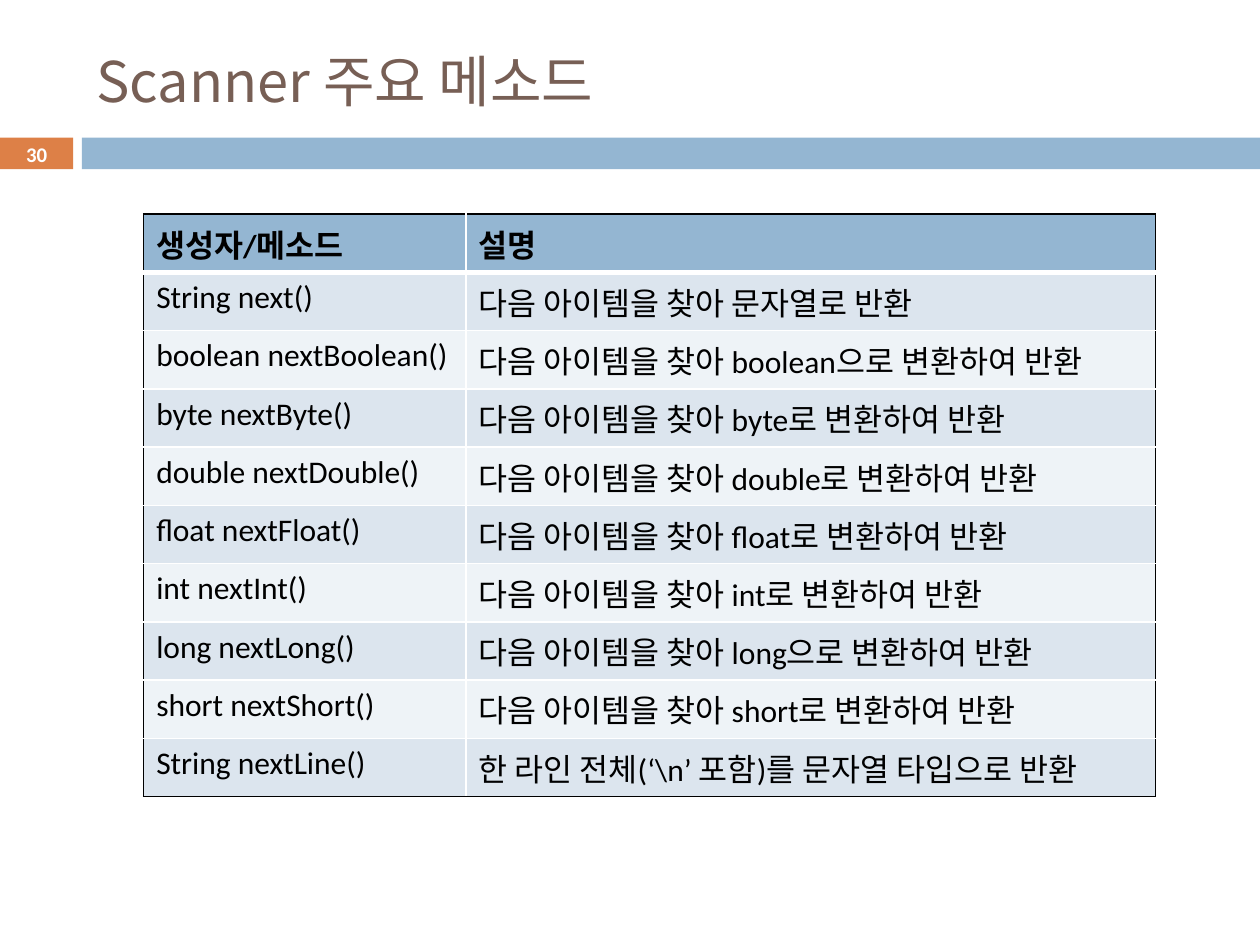
from dataclasses import dataclass

from lxml import etree
from pptx import Presentation
from pptx.dml.color import RGBColor
from pptx.enum.shapes import MSO_SHAPE
from pptx.enum.text import MSO_ANCHOR, MSO_AUTO_SIZE, PP_ALIGN
from pptx.oxml.ns import qn
from pptx.util import Pt

RECT = MSO_SHAPE.RECTANGLE
MIDDLE, TOP = MSO_ANCHOR.MIDDLE, MSO_ANCHOR.TOP
LEFT, CENTER = PP_ALIGN.LEFT, PP_ALIGN.CENTER
NO_FIT = MSO_AUTO_SIZE.NONE
KOREAN, LATIN = "Noto Sans CJK KR", "Calibri"
BLUE, ORANGE, BROWN = "94B6D2", "DD8047", "775F55"
BLACK, WHITE = "000000", "FFFFFF"
BANDS = ("DCE5EE", "EEF3F7")
ROW_HEIGHT = 33.3
COL_WIDTHS = (184.3, 393.8)


@dataclass
class Bar:
    left: float
    width: float
    color: str


@dataclass
class Method:
    signature: str
    description: str


def converter(kind: str, particle: str = "로") -> Method:
    return Method(f"{kind} next{kind.capitalize()}()",
                  f"다음 아이템을 찾아 {kind}{particle} 변환하여 반환")


BARS = [Bar(0, 41.8, ORANGE), Bar(46.8, 673.2, BLUE)]
METHODS = [
    Method("생성자/메소드", "설명"),
    Method("String next()", "다음 아이템을 찾아 문자열로 반환"),
    converter("boolean", "으로"),
    converter("byte"),
    converter("double"),
    converter("float"),
    converter("int"),
    converter("long", "으로"),
    converter("short"),
    Method("String nextLine()", "한 라인 전체(‘\\n’ 포함)를 문자열 타입으로 반환"),
]


def rgb(color: str) -> RGBColor:
    return RGBColor.from_string(color)


def write(tf, text: str, size: float = 18, font: str = LATIN, color: str = BLACK,
          bold: bool = False, align=LEFT, anchor=TOP) -> None:
    tf.word_wrap = True
    tf.vertical_anchor = anchor
    p = tf.paragraphs[0]
    p.alignment = align
    r = p.add_run()
    r.text = text
    r.font.size = Pt(size)
    r.font.bold = bold
    r.font.color.rgb = rgb(color)
    r.font.name = font
    latin = r.font._element.find(qn("a:latin"))
    ea = etree.Element(qn("a:ea"), typeface=KOREAN)
    latin.addnext(ea)


def draw_bar(slide, bar: Bar) -> None:
    sp = slide.shapes.add_shape(RECT, Pt(bar.left), Pt(78.7), Pt(bar.width), Pt(18))
    sp.shadow.inherit = False
    sp.fill.solid()
    sp.fill.fore_color.rgb = rgb(bar.color)
    sp.line.fill.background()


def set_border(cell, side: str, color: str, width: float) -> None:
    tc_pr = cell._tc.get_or_add_tcPr()
    ln = etree.SubElement(tc_pr, qn(f"a:ln{side}"), w=str(Pt(width)))
    fill = etree.SubElement(ln, qn("a:solidFill"))
    etree.SubElement(fill, qn("a:srgbClr"), val=color)


def draw_table(slide, methods: list[Method]) -> None:
    last = len(methods) - 1
    table = slide.shapes.add_table(len(methods), 2, Pt(82.1), Pt(122.4),
                                   Pt(sum(COL_WIDTHS)),
                                   Pt(ROW_HEIGHT * len(methods))).table
    table.horz_banding = False
    for col, width in zip(table.columns, COL_WIDTHS):
        col.width = Pt(width)
    for i, method in enumerate(methods):
        table.rows[i].height = Pt(ROW_HEIGHT)
        for j, text in enumerate((method.signature, method.description)):
            cell = table.cell(i, j)
            write(cell.text_frame, text, bold=i == 0)
            set_border(cell, "L", BLACK if j == 0 else WHITE, 1)
            set_border(cell, "R", BLACK if j == 1 else WHITE, 1)
            set_border(cell, "T", BLACK if i == 0 else WHITE, 3 if i == 1 else 1)
            set_border(cell, "B", BLACK if i == last else WHITE, 3 if i == 0 else 1)
            cell.fill.solid()
            cell.fill.fore_color.rgb = rgb(BLUE if i == 0 else BANDS[(i - 1) % 2])


def main() -> None:
    prs = Presentation()
    prs.slide_width, prs.slide_height = Pt(720), Pt(540)
    slide = prs.slides.add_slide(prs.slide_layouts[5])
    for bar in BARS:
        draw_bar(slide, bar)

    title = slide.shapes.title
    title.left, title.top, title.width, title.height = Pt(48), Pt(18), Pt(642), Pt(55.4)
    title.text_frame.auto_size = NO_FIT
    write(title.text_frame, "Scanner 주요 메소드", size=32, font=KOREAN,
          color=BROWN, anchor=MIDDLE)

    draw_table(slide, METHODS)

    number = slide.shapes.add_textbox(Pt(0), Pt(78.7), Pt(41.8), Pt(19.4))
    write(number.text_frame, "30", size=11.9, color=WHITE, bold=True,
          align=CENTER, anchor=MIDDLE)
    prs.save("out.pptx")


if __name__ == "__main__":
    main()
